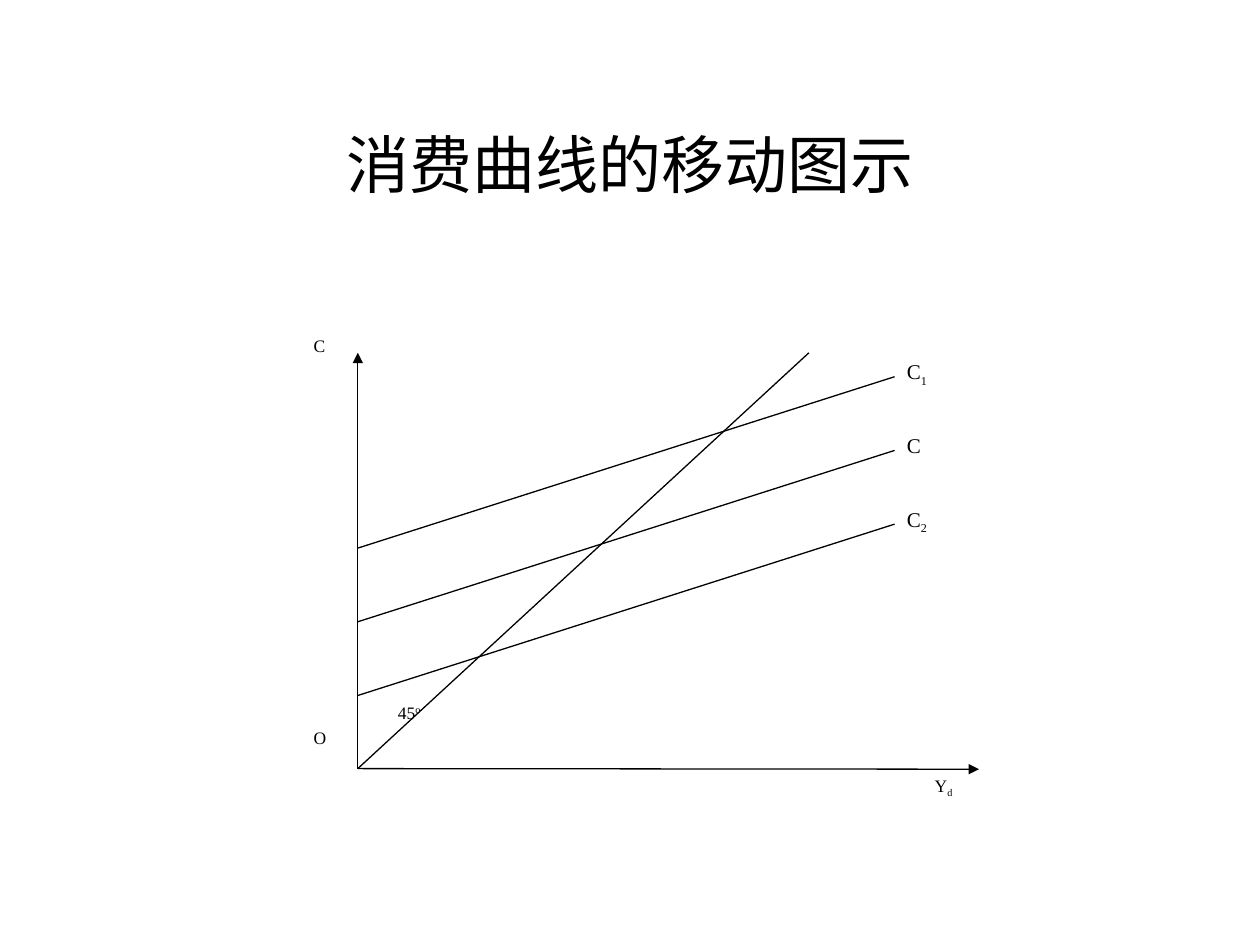
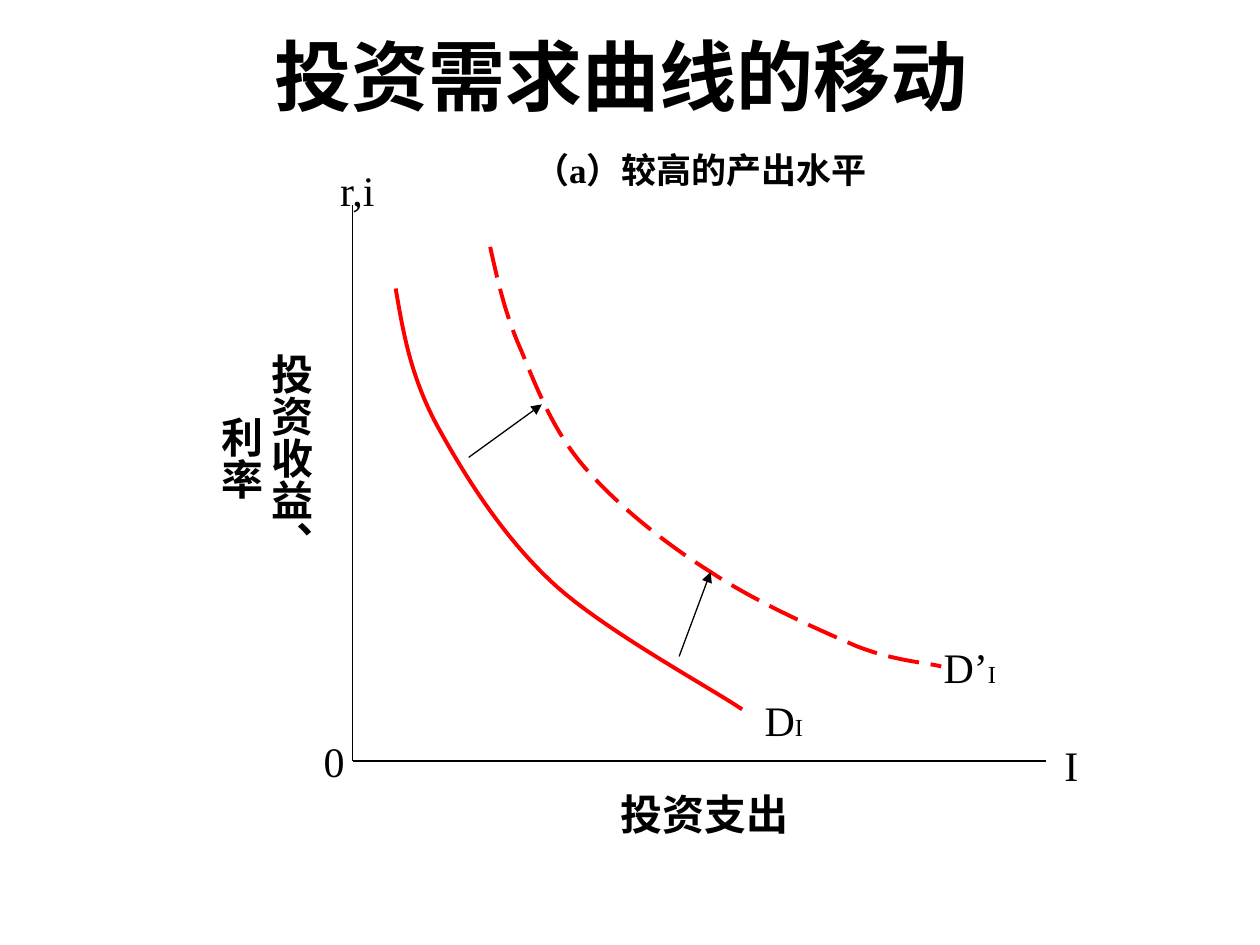
from lxml import etree
from pptx import Presentation
from pptx import util as u
from pptx.dml.color import RGBColor
from pptx.enum import dml, shapes, text
from pptx.oxml.ns import qn

# Shared look: a grid of 100 columns by 75 rows on a 10 x 7.5 inch slide
COLUMNS, ROWS = 100, 75
CELL = u.Inches(0.1)
FONT = "Times New Roman"
BLACK, RED = "000000", "FF0000"
THIN, THICK = 0.75, 2.25
ALIGN = text.PP_ALIGN


def grid(*cells):
    return [round(cell * CELL) for cell in cells]


def color(hex_string):
    return RGBColor.from_string(hex_string)


def apply(target, values):
    for name, value in values.items():
        setattr(target, name, value)


def style_line(shape, hex_string, width, dash=None):
    shape.line.color.rgb = color(hex_string)
    apply(shape.line, {"width": u.Pt(width), "dash_style": dash})


def add_text(slide, box, runs, size, align=ALIGN.LEFT, bold=False, middle=False,
             vertical=False):
    """Each run is (text, format); the format may hold a size or a baseline."""
    frame = slide.shapes.add_textbox(*grid(*box)).text_frame
    anchor = text.MSO_ANCHOR.MIDDLE if middle else text.MSO_ANCHOR.TOP
    apply(frame, {"word_wrap": True, "vertical_anchor": anchor})
    if vertical:
        frame._txBody.bodyPr.set("vert", "eaVert")
        side, end = u.Inches(0.05), u.Inches(0.1)
        apply(frame, {"margin_left": side, "margin_right": side,
                      "margin_top": end, "margin_bottom": end})
    paragraph = frame.paragraphs[0]
    paragraph.alignment = align
    for words, changes in [(runs, {})] if isinstance(runs, str) else runs:
        run = paragraph.add_run()
        run.text = words
        apply(run.font, {"name": FONT, "bold": bold,
                         "size": u.Pt(changes.get("size", size))})
        run.font.color.rgb = color(BLACK)
        if "baseline" in changes:
            run._r.get_or_add_rPr().set("baseline", str(changes["baseline"] * 1000))


def add_title(slide, box, words, size, bold=False):
    add_text(slide, box, words, size, ALIGN.CENTER, bold, middle=True)


def add_line(slide, start, end, arrow=False):
    line = slide.shapes.add_connector(shapes.MSO_CONNECTOR.STRAIGHT, *grid(*start, *end))
    style_line(line, BLACK, THIN)
    if arrow:
        etree.SubElement(line.line._get_or_add_ln(), qn("a:tailEnd"), type="triangle")
    etree.SubElement(line._element.spPr, qn("a:effectLst"))


def add_curve(slide, points, dash=None):
    """Points are the start, then two handles and an end for each segment."""
    start, *others = [grid(*point) for point in points]
    builder = slide.shapes.build_freeform(*start)
    builder.add_line_segments(others, close=False)
    curve = builder.convert_to_shape()
    curve.shadow.inherit = False
    curve.fill.background()
    style_line(curve, RED, THICK, dash)
    # Turn every three straight steps into one Bezier segment
    outline = next(curve._element.iter(qn("a:path")))
    steps = outline.findall(qn("a:lnTo"))
    for first in range(0, len(steps), 3):
        segment = etree.SubElement(outline, qn("a:cubicBezTo"))
        for step in steps[first:first + 3]:
            segment.append(step[0])
            outline.remove(step)


def build_consumption(slide):
    add_title(slide, (7.5, 6.7, 85, 12.5), "消费曲线的移动图示", 36)

    # Axes and 45-degree line
    origin = (28.4, 61)
    add_line(slide, origin, (28.4, 28), arrow=True)
    add_line(slide, origin, (77.7, 61.05), arrow=True)
    add_line(slide, origin, (64.2, 28))

    # Parallel consumption curves at equal gaps
    gap, rise, right = 5.85, 13.6, 71
    for index, mark in enumerate(["1", "", "2"]):
        shift = index * gap
        add_line(slide, (28.4, 43.5 + shift), (right, 43.5 - rise + shift))
        runs = [("C", {})] + ([(mark, {"baseline": -25})] if mark else [])
        add_text(slide, (right, 28 + shift, 6.7, 5.8), runs, 12, ALIGN.JUSTIFY)

    # Axis and angle labels
    for left, top, width, runs in [
        (23.9, 57.2, 4.5, "O"),
        (23.9, 26.1, 4.5, "C"),
        (73.2, 61, 6.7, [("Y", {}), ("d", {"baseline": -25})]),
        (30.6, 55.2, 9, [("45", {}), ("o", {"baseline": 30})]),
    ]:
        add_text(slide, (left, top, width, 5.8), runs, 10, ALIGN.JUSTIFY)


def build_investment(slide):
    add_title(slide, (4.3, 1.3, 90, 9.2), "投资需求曲线的移动", 44, bold=True)

    # Axes
    origin = (28, 60.4)
    add_line(slide, (28, 16.3), origin)
    add_line(slide, origin, (83, 60.4))

    # Bold captions
    add_text(slide, (15.6, 27.1, 10, 20.8), "投资收益、利率", 24, ALIGN.CENTER,
             bold=True, vertical=True)
    add_text(slide, (42.2, 62.1, 27.5, 5), "投资支出", 24, ALIGN.CENTER, bold=True)
    add_text(slide, (41.4, 11.3, 48.3, 4.4), "（a）较高的产出水平", 20, bold=True)

    # Demand curve, and the same curve after the shift
    add_curve(slide, [
        (31.4, 22.9), (32, 26.4), (32.6, 29.9), (34.7, 33.8),
        (36.8, 37.6), (39.8, 42.5), (43.9, 46.3),
        (47.9, 50), (56.4, 54.6), (58.9, 56.3)])
    add_curve(slide, [
        (38.9, 19.6), (39.5, 22.3), (40.1, 25), (41.4, 27.9),
        (42.6, 30.8), (43.9, 34.2), (46.4, 37.1),
        (48.9, 40), (52.7, 43.1), (56.4, 45.4),
        (60, 47.8), (65, 50), (68, 51.3),
        (71.1, 52.5), (73.6, 52.6), (74.7, 52.9)], dml.MSO_LINE.LONG_DASH)

    # Arrows showing the shift
    add_line(slide, (37.2, 36.3), (43, 32.1), arrow=True)
    add_line(slide, (53.9, 52.1), (56.4, 45.4), arrow=True)

    # Axis and curve labels
    small = ("I", {"size": 14})
    for left, top, width, runs in [
        (26, 12.6, 7.5, "r,i"),
        (83.5, 58.2, 5, "I"),
        (24.7, 57.9, 5.8, "0"),
        (59.7, 54.6, 7.5, [("D", {}), small]),
        (73.9, 50.4, 8.3, [("D’", {}), small]),
    ]:
        add_text(slide, (left, top, width, 5), runs, 24)


def main():
    presentation = Presentation()
    apply(presentation, {"slide_width": COLUMNS * CELL, "slide_height": ROWS * CELL})
    for build in (build_consumption, build_investment):
        build(presentation.slides.add_slide(presentation.slide_layouts[6]))
    presentation.save("out.pptx")


if __name__ == "__main__":
    main()
